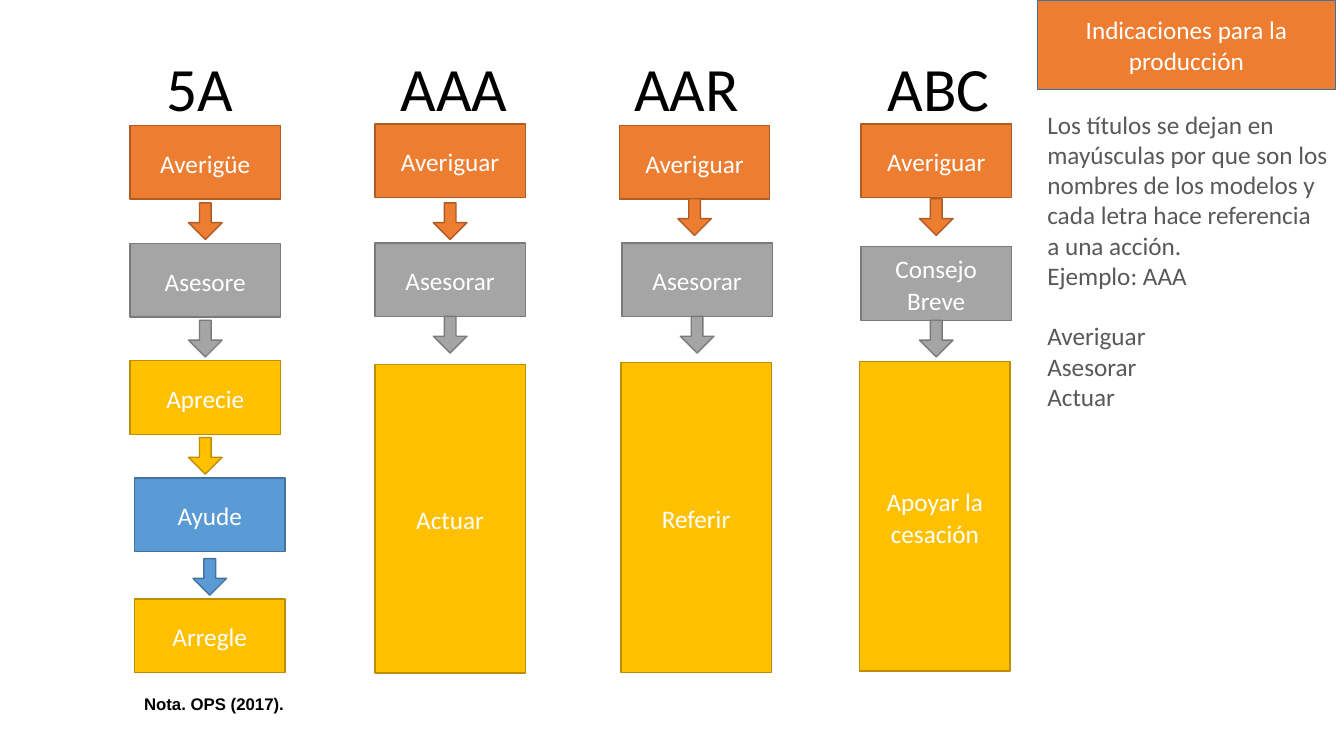
from lxml import etree
from pptx import Presentation
from pptx.dml.color import RGBColor
from pptx.enum.shapes import MSO_SHAPE
from pptx.enum.text import MSO_ANCHOR, MSO_AUTO_SIZE, PP_ALIGN
from pptx.oxml.ns import qn
from pptx.util import Pt

RECTANGLE, DOWN_ARROW = MSO_SHAPE.RECTANGLE, MSO_SHAPE.DOWN_ARROW
TOP, MIDDLE = MSO_ANCHOR.TOP, MSO_ANCHOR.MIDDLE
LEFT, CENTER = PP_ALIGN.LEFT, PP_ALIGN.CENTER
NO_AUTOFIT = MSO_AUTO_SIZE.NONE

COLORS = {
    "orange": "ED7D31", "orange_line": "AF5C24",
    "gray": "A5A5A5", "gray_line": "7A7A7A",
    "yellow": "FFC000", "yellow_line": "BD8E00",
    "blue": "5B9BD5", "blue_line": "43739E",
    "heading_line": "42719B", "guide_text": "595959",
    "white": "FFFFFF", "black": "000000",
}
BOX_WIDTH, BOX_HEIGHT, TALL_HEIGHT = 107.5, 52.7, 220.5
ARROW_WIDTH, ARROW_HEIGHT = 24, 26.2

# Model name, its left and top, then its steps:
# text, color, left, top, height, top of the arrow below (None for the last)
MODELS = [
    ("5A", 111.6, 28.1, [
        ("Averigüe", "orange", 92.9, 89.6, BOX_HEIGHT, 144.9),
        ("Asesore", "gray", 92.9, 173.8, BOX_HEIGHT, 228.8),
        ("Aprecie", "yellow", 92.9, 257.5, BOX_HEIGHT, 312.5),
        ("Ayude", "blue", 96.1, 341.3, BOX_HEIGHT, 399),
        ("Arregle", "yellow", 96.1, 427.8, BOX_HEIGHT, None)]),
    ("AAA", 279.2, 28.7, [
        ("Averiguar", "orange", 267.8, 88.5, BOX_HEIGHT, 144.9),
        ("Asesorar", "gray", 267.8, 173.5, BOX_HEIGHT, 226),
        ("Actuar", "yellow", 267.8, 260.2, TALL_HEIGHT, None)]),
    ("AAR", 446.1, 28.1, [
        ("Averiguar", "orange", 442.4, 89.6, BOX_HEIGHT, 142),
        ("Asesorar", "gray", 444.2, 173.5, BOX_HEIGHT, 226),
        ("Referir", "yellow", 443.5, 259, TALL_HEIGHT + 1, None)]),
    ("ABC", 627.1, 28.4, [
        ("Averiguar", "orange", 615, 88.5, BOX_HEIGHT, 142),
        ("Consejo Breve", "gray", 615, 176.2, BOX_HEIGHT, 228.8),
        ("Apoyar la cesación", "yellow", 614, 258.3, TALL_HEIGHT + 0.5, None)]),
]
GUIDE_HEADING = "Indicaciones para la producción"
GUIDE_LINES = [
    "Los títulos se dejan en mayúsculas por que son los nombres de los modelos "
    "y cada letra hace referencia a una acción.",
    "Ejemplo: AAA", "Averiguar", "Asesorar", "Actuar",
]


def rgb(name):
    return RGBColor.from_string(COLORS[name])


class ModelSlide:
    """Holds the slide and the text style shared by its elements."""

    font = "Calibri"
    body_size = 18
    line_spacing = 1.07
    space_after = 8

    def __init__(self, presentation):
        self.slide = presentation.slides.add_slide(presentation.slide_layouts[1])

    def place(self, shape, left, top, width, height):
        shape.left, shape.top = Pt(left), Pt(top)
        shape.width, shape.height = Pt(width), Pt(height)

    def paint(self, shape, fill, line):
        shape.fill.solid()
        shape.fill.fore_color.rgb = rgb(fill)
        shape.line.color.rgb = rgb(line)
        shape.line.width = Pt(1)

    def set_text(self, shape, text, color, size=body_size, align=LEFT, anchor=TOP,
                 spacing=1.0, after=0, font=font, bold=False, wrap=True):
        frame = shape.text_frame
        frame.text = text
        frame.word_wrap = wrap
        frame.auto_size = NO_AUTOFIT
        frame.vertical_anchor = anchor
        for paragraph in frame.paragraphs:
            paragraph.alignment = align
            paragraph.line_spacing = spacing
            paragraph.space_before = Pt(0)
            paragraph.space_after = Pt(after)
            for run in paragraph.runs:
                run.font.name = font
                run.font.size = Pt(size)
                run.font.bold = bold
                run.font.color.rgb = rgb(color)

    def text_box(self, text, left, top, width, height, **style):
        box = self.slide.shapes.add_textbox(Pt(left), Pt(top), Pt(width), Pt(height))
        self.set_text(box, text, "black", **style)

    def colored_shape(self, kind, color, left, top, width, height):
        shape = self.slide.shapes.add_shape(
            kind, Pt(left), Pt(top), Pt(width), Pt(height))
        shape.shadow.inherit = False
        self.paint(shape, color, color + "_line")
        return shape

    def step(self, text, color, left, top, height, arrow_top):
        """Adds one step box and, unless it is the last, the arrow below it."""
        box = self.colored_shape(RECTANGLE, color, left, top, BOX_WIDTH, height)
        self.set_text(box, text, "white", align=CENTER, anchor=MIDDLE,
                      spacing=self.line_spacing, after=self.space_after)
        if arrow_top is not None:
            arrow_left = left + (BOX_WIDTH - ARROW_WIDTH) / 2
            arrow = self.colored_shape(DOWN_ARROW, color, arrow_left, arrow_top,
                                       ARROW_WIDTH, ARROW_HEIGHT)
            arrow.adjustments[0] = 0.346

    def model(self, name, left, top, steps):
        self.text_box(name, left, top, BOX_WIDTH, 62, size=44,
                      spacing=self.line_spacing, after=self.space_after)
        for step in steps:
            self.step(*step)

    def guide_heading(self, text):
        title = self.slide.shapes.title
        self.place(title, 740.9, 0, 213.1, 64.1)
        self.paint(title, "orange", "heading_line")
        self.set_text(title, text, "white", align=CENTER, anchor=MIDDLE)

    def guide(self, lines):
        body = self.slide.placeholders[1]
        self.place(body, 740.9, 74.2, 214.6, 339)
        self.set_text(body, "\n".join(lines), "guide_text")
        for paragraph in body.text_frame.paragraphs:
            properties = paragraph._p.get_or_add_pPr()
            properties.set("marL", "0")
            properties.set("indent", "0")
            etree.SubElement(properties, qn("a:buNone"))
        body.text_frame.paragraphs[2].space_before = Pt(21.6)


def main():
    presentation = Presentation()
    presentation.slide_width, presentation.slide_height = Pt(960), Pt(540)
    page = ModelSlide(presentation)
    page.guide_heading(GUIDE_HEADING)
    page.guide(GUIDE_LINES)
    for model in MODELS:
        page.model(*model)
    page.text_box("Nota. OPS (2017).", 95.8, 491.8, 118.8, 43.9, size=12,
                  font="Arial", bold=True, wrap=False)
    presentation.save("out.pptx")


if __name__ == "__main__":
    main()
